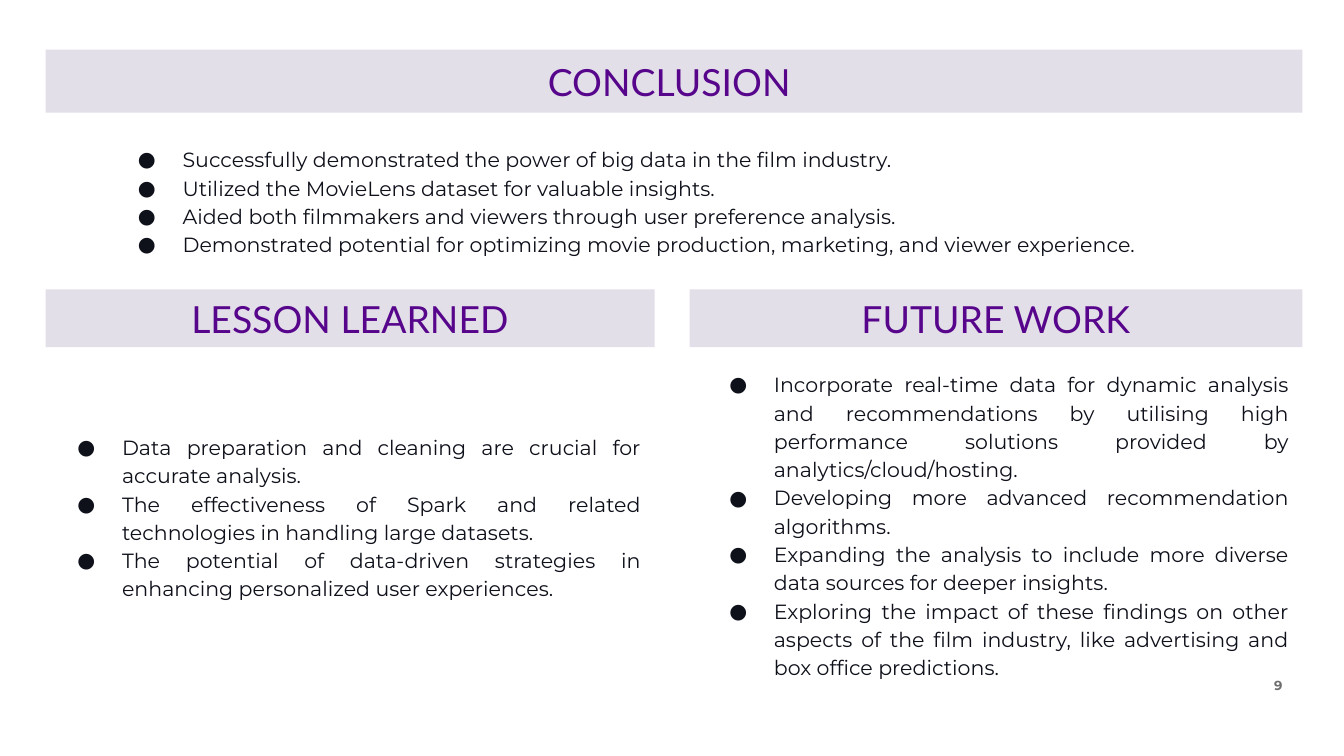
from lxml.etree import SubElement
from pptx import Presentation
from pptx.dml.color import RGBColor
from pptx.enum.shapes import MSO_SHAPE
from pptx.enum.text import MSO_ANCHOR, MSO_AUTO_SIZE, PP_ALIGN
from pptx.oxml.ns import qn
from pptx.util import Pt

COLORS = {"band": "E3DFE9", "heading": "57068C", "body": "0E101A", "number": "6D6D6D"}

FORMATS = {
    "heading": {"name": "Lato", "size": Pt(20), "bold": False},
    "body": {"name": "Montserrat", "size": Pt(11), "bold": False},
    "number": {"name": "Montserrat", "size": Pt(7), "bold": True},
}

SECTIONS = [
    {
        "heading": "CONCLUSION ",
        "band": (24.5, 26.6, 673.2, 33.8),
        "body": (54.7, 69.8, 625.7, 79.2),
        "anchor": MSO_ANCHOR.TOP,
        "align": PP_ALIGN.LEFT,
        "points": [
            "Successfully demonstrated the power of big data in the film industry.",
            "Utilized the MovieLens dataset for valuable insights.",
            "Aided both filmmakers and viewers through user preference analysis.",
            "Demonstrated potential for optimizing movie production, marketing, and viewer experience.",
        ],
    },
    {
        "heading": "LESSON LEARNED",
        "band": (24.5, 155, 326.2, 31),
        "body": (22.3, 196.6, 328.3, 159.8),
        "anchor": MSO_ANCHOR.MIDDLE,
        "align": PP_ALIGN.JUSTIFY,
        "points": [
            "Data preparation and cleaning are crucial for accurate analysis.",
            "The effectiveness of Spark and related technologies in handling large datasets.",
            "The potential of data-driven strategies in enhancing personalized user experiences.",
        ],
    },
    {
        "heading": "FUTURE WORK",
        "band": (369.4, 155, 328.3, 31),
        "body": (371.5, 196.6, 326.2, 168.5),
        "anchor": MSO_ANCHOR.MIDDLE,
        "align": PP_ALIGN.JUSTIFY,
        "points": [
            "Incorporate real-time data for dynamic analysis and recommendations by utilising high "
            "performance solutions provided by analytics/cloud/hosting.",
            "Developing more advanced recommendation algorithms.",
            "Expanding the analysis to include more diverse data sources for deeper insights.",
            "Exploring the impact of these findings on other aspects of the film industry, "
            "like advertising and box office predictions.",
        ],
    },
]

PAGE_NUMBER = {"text": "9", "box": (363.6, 355.7, 330.5, 24.5)}


def prepare_frame(shape, anchor):
    frame = shape.text_frame
    settings = {
        "word_wrap": True,
        "auto_size": MSO_AUTO_SIZE.NONE,
        "vertical_anchor": anchor,
        **{f"margin_{side}": Pt(7.2) for side in ("left", "top", "right", "bottom")},
    }
    for key, value in settings.items():
        setattr(frame, key, value)
    return frame


def write(paragraph, text, role, align):
    paragraph.alignment = align
    run = paragraph.add_run()
    run.text = text
    for key, value in FORMATS[role].items():
        setattr(run.font, key, value)
    run.font.color.rgb = RGBColor.from_string(COLORS[role])


def add_bullet(paragraph):
    properties = paragraph._p.get_or_add_pPr()
    properties.set("marL", str(Pt(36)))
    properties.set("indent", str(-Pt(23.9)))
    bullet_color = SubElement(properties, qn("a:buClr"))
    SubElement(bullet_color, qn("a:srgbClr"), val=COLORS["body"])
    SubElement(properties, qn("a:buFont"), typeface="Montserrat")
    SubElement(properties, qn("a:buChar"), char="●")
    paragraph.line_spacing = 1.15


def format_band(band, heading):
    band.fill.solid()
    band.fill.fore_color.rgb = RGBColor.from_string(COLORS["band"])
    band.line.fill.background()
    frame = prepare_frame(band, MSO_ANCHOR.MIDDLE)
    write(frame.paragraphs[0], heading, "heading", PP_ALIGN.CENTER)


def add_points(slide, section):
    body = slide.shapes.add_textbox(*map(Pt, section["body"]))
    frame = prepare_frame(body, section["anchor"])
    for index, point in enumerate(section["points"]):
        paragraph = frame.add_paragraph() if index else frame.paragraphs[0]
        add_bullet(paragraph)
        write(paragraph, point, "body", section["align"])


def main():
    deck = Presentation()
    deck.slide_width, deck.slide_height = Pt(720), Pt(405)
    slide = deck.slides.add_slide(deck.slide_layouts[5])

    for index, section in enumerate(SECTIONS):
        bounds = [Pt(length) for length in section["band"]]
        if index == 0:
            band = slide.shapes.title
            for key, value in zip(("left", "top", "width", "height"), bounds):
                setattr(band, key, value)
        else:
            band = slide.shapes.add_shape(MSO_SHAPE.RECTANGLE, *bounds)
            band.shadow.inherit = False
        format_band(band, section["heading"])
        add_points(slide, section)

    number = slide.shapes.add_textbox(*map(Pt, PAGE_NUMBER["box"]))
    frame = prepare_frame(number, MSO_ANCHOR.TOP)
    write(frame.paragraphs[0], PAGE_NUMBER["text"], "number", PP_ALIGN.RIGHT)

    deck.save("out.pptx")


if __name__ == "__main__":
    main()
